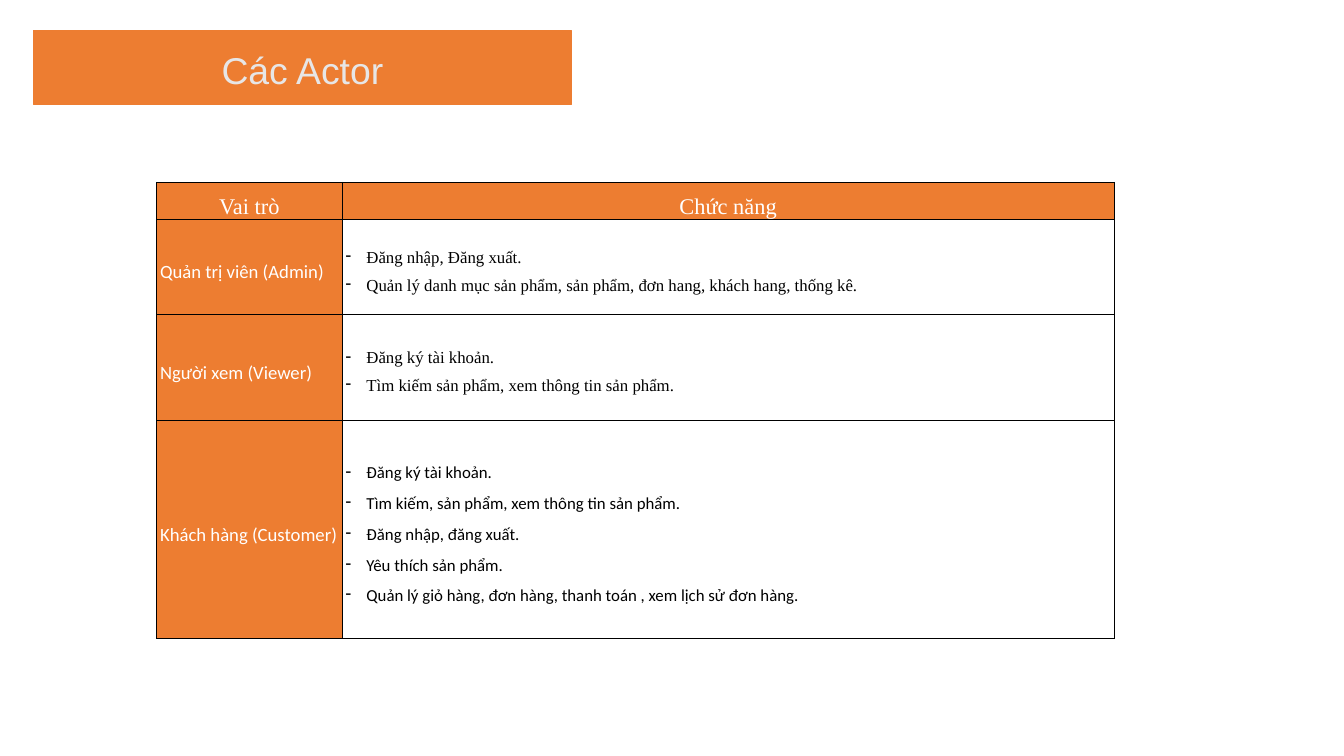
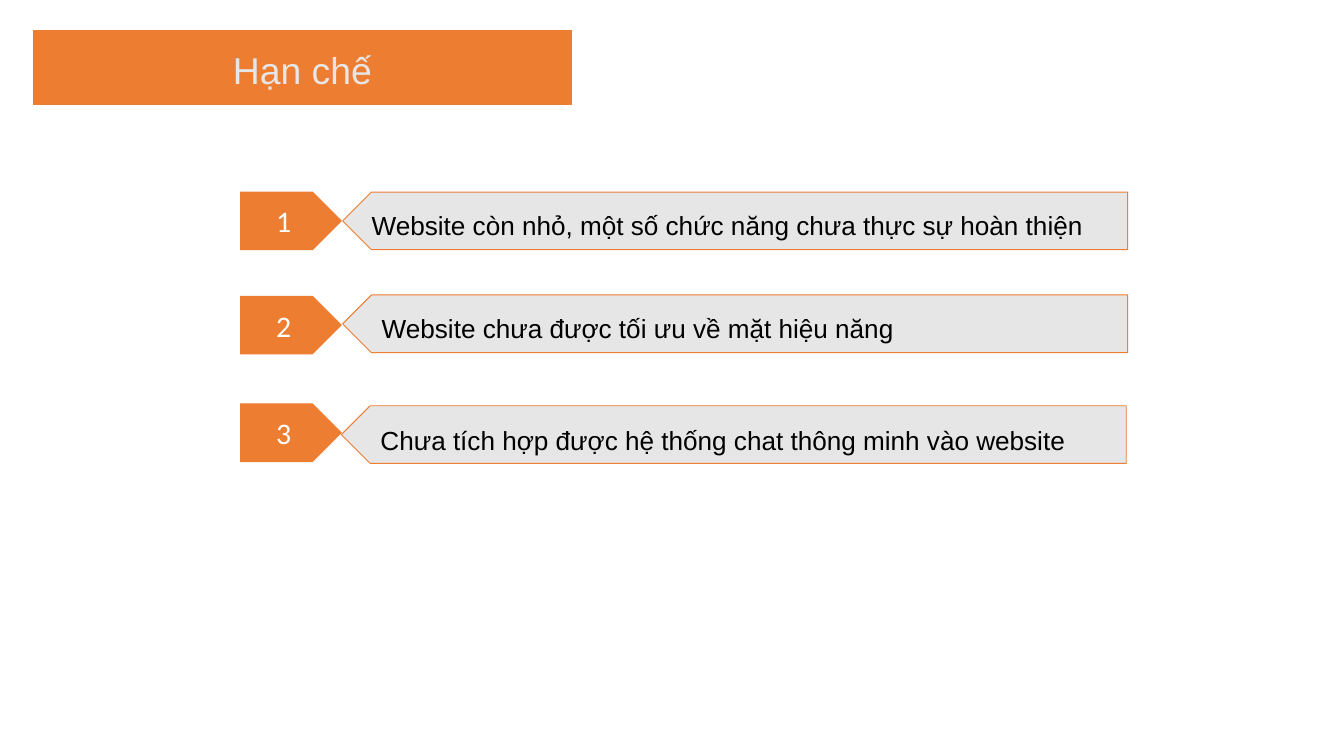
import pptx
import pptx.dml.color
import pptx.enum.shapes
import pptx.enum.text
import pptx.oxml
import pptx.oxml.ns
import pptx.util

Cm, Pt = pptx.util.Cm, pptx.util.Pt
RGB = pptx.dml.color.RGBColor
Shape = pptx.enum.shapes.MSO_SHAPE
Align = pptx.enum.text.PP_ALIGN
Anchor = pptx.enum.text.MSO_ANCHOR

# Shared look
ORANGE = RGB(0xED, 0x7D, 0x31)
GREY = RGB(0xE7, 0xE6, 0xE6)
WHITE = RGB(0xFF, 0xFF, 0xFF)
BLACK = RGB(0x00, 0x00, 0x00)
SANS, SERIF, BODY = "Arial", "Times New Roman", "Calibri"
LEAD = Pt(49.7)

# Roles table: role, font of its list, functions
HEADS = ("Vai trò", "Chức năng")
ROLES = (
    ("Quản trị viên (Admin)", SERIF, (
        "Đăng nhập, Đăng xuất.",
        "Quản lý danh mục sản phẩm, sản phẩm, đơn hang, khách hang, thống kê.")),
    ("Người xem (Viewer)", SERIF, (
        "Đăng ký tài khoản.",
        "Tìm kiếm sản phẩm, xem thông tin sản phẩm.")),
    ("Khách hàng (Customer)", BODY, (
        "Đăng ký tài khoản.",
        "Tìm kiếm, sản phẩm, xem thông tin sản phẩm.",
        "Đăng nhập, đăng xuất.",
        "Yêu thích sản phẩm.",
        "Quản lý giỏ hàng, đơn hàng, thanh toán , xem lịch sử đơn hàng.")),
)
COLS = (7.01, 29.18)
ROWS = (1.3, 3.61, 3.99, 8.26)

# Limits: text, top of number tag, left and top of bar, left and top of text
LIMITS = (
    ("Website còn nhỏ, một số chức năng chưa thực sự hoàn thiện",
     7.26, (12.95, 7.26), (14.05, 7.33)),
    ("Website chưa được tối ưu về mặt hiệu năng",
     11.2, (12.95, 11.15), (14.43, 11.23)),
    ("Chưa tích hợp được hệ thống chat thông minh vào website",
     15.27, (12.9, 15.34), (14.38, 15.49)),
)


def style(para, font, size, color, align=Align.LEFT, lead=None):
    para.alignment = align
    if lead:
        para.line_spacing = lead
    for run in para.runs:
        run.font.name = font
        run.font.size = Pt(size)
        run.font.color.rgb = color


def bare(frame):
    frame.margin_left = frame.margin_right = 0
    frame.margin_top = frame.margin_bottom = 0
    frame.word_wrap = True
    frame.vertical_anchor = Anchor.TOP


def block(slide, kind, left, top, width, height, fill):
    shape = slide.shapes.add_shape(kind, Cm(left), Cm(top), Cm(width), Cm(height))
    shape.shadow.inherit = False
    shape.fill.solid()
    shape.fill.fore_color.rgb = fill
    shape.line.color.rgb = ORANGE
    shape.line.width = Pt(1)
    return shape


def add_slide(deck, text):
    slide = deck.slides.add_slide(deck.slide_layouts[5])
    title = slide.shapes.title
    band = block(slide, Shape.RECTANGLE, 1.27, 1.17, 20.32, 2.79, ORANGE)
    title.element.addprevious(band.element)  # band goes behind the title
    title.left, title.top = Cm(1.27), Cm(1.73)
    title.width, title.height = Cm(20.32), Cm(1.65)
    frame = title.text_frame
    frame.text = text
    frame.auto_size = pptx.enum.text.MSO_AUTO_SIZE.NONE
    bare(frame)
    style(frame.paragraphs[0], SANS, 40, GREY, Align.CENTER, LEAD)
    return slide


def node(xml):
    return pptx.oxml.parse_xml(xml.replace(">", " " + pptx.oxml.ns.nsdecls("a") + ">", 1))


def dash(para):
    props = para._p.get_or_add_pPr()
    props.set("marL", str(Cm(0.79)))
    props.set("indent", str(-Cm(0.79)))
    props.append(node(f'<a:buClr><a:srgbClr val="{BLACK}"/></a:buClr>'))
    props.append(node('<a:buChar char="-"></a:buChar>'))


def fill_cell(cell, lines, font, size, color, fill=None, align=Align.LEFT, list_=False):
    cell.margin_left = cell.margin_right = Cm(0.13)
    cell.margin_top = cell.margin_bottom = 0
    cell.vertical_anchor = Anchor.MIDDLE
    props = cell._tc.get_or_add_tcPr()
    for side in "LRTB":
        props.append(node(f'<a:ln{side} w="{Pt(0.5)}"><a:solidFill>'
                          f'<a:srgbClr val="{BLACK}"/></a:solidFill></a:ln{side}>'))
    if fill is None:
        cell.fill.background()
    else:
        cell.fill.solid()
        cell.fill.fore_color.rgb = fill
    cell.text_frame.text = "\n".join(lines)
    for para in cell.text_frame.paragraphs:
        if list_:
            dash(para)
        style(para, font, size, color, align, 1.5)


def add_roles(slide):
    table = slide.shapes.add_table(
        len(ROWS), len(COLS), Cm(5.92), Cm(6.88), Cm(sum(COLS)), Cm(sum(ROWS))).table
    table.first_row = table.horz_banding = False
    for col, width in zip(table.columns, COLS):
        col.width = Cm(width)
    for row, height in zip(table.rows, ROWS):
        row.height = Cm(height)
    for i, head in enumerate(HEADS):
        fill_cell(table.cell(0, i), [head], SERIF, 24, WHITE, ORANGE, Align.CENTER)
    for i, (role, font, tasks) in enumerate(ROLES, 1):
        fill_cell(table.cell(i, 0), [role], BODY, 20, WHITE, ORANGE)
        fill_cell(table.cell(i, 1), tasks, font, 18, BLACK, list_=True)


def add_limit(slide, num, text, top, bar_at, text_at):
    bar = block(slide, Shape.PENTAGON, *bar_at, 29.67, 2.18, GREY)
    bar.rotation = 180  # point to the left
    left, head = text_at
    box = slide.shapes.add_textbox(Cm(left), Cm(head), Cm(42.6 - left), Cm(1.75))
    box.text_frame.text = text
    bare(box.text_frame)
    style(box.text_frame.paragraphs[0], SANS, 28, BLACK, lead=LEAD)
    tag = block(slide, Shape.PENTAGON, 9.09, top, 3.81, 2.18, ORANGE)
    tag.text_frame.text = str(num)
    tag.text_frame.vertical_anchor = Anchor.MIDDLE
    style(tag.text_frame.paragraphs[0], BODY, 32, WHITE, Align.CENTER)


def main():
    deck = pptx.Presentation()
    deck.slide_width, deck.slide_height = Cm(50.8), Cm(28.58)

    # Actors
    add_roles(add_slide(deck, "Các Actor"))

    # Limits
    slide = add_slide(deck, "Hạn chế")
    for num, limit in enumerate(LIMITS, 1):
        add_limit(slide, num, *limit)

    deck.save("out.pptx")


if __name__ == "__main__":
    main()
